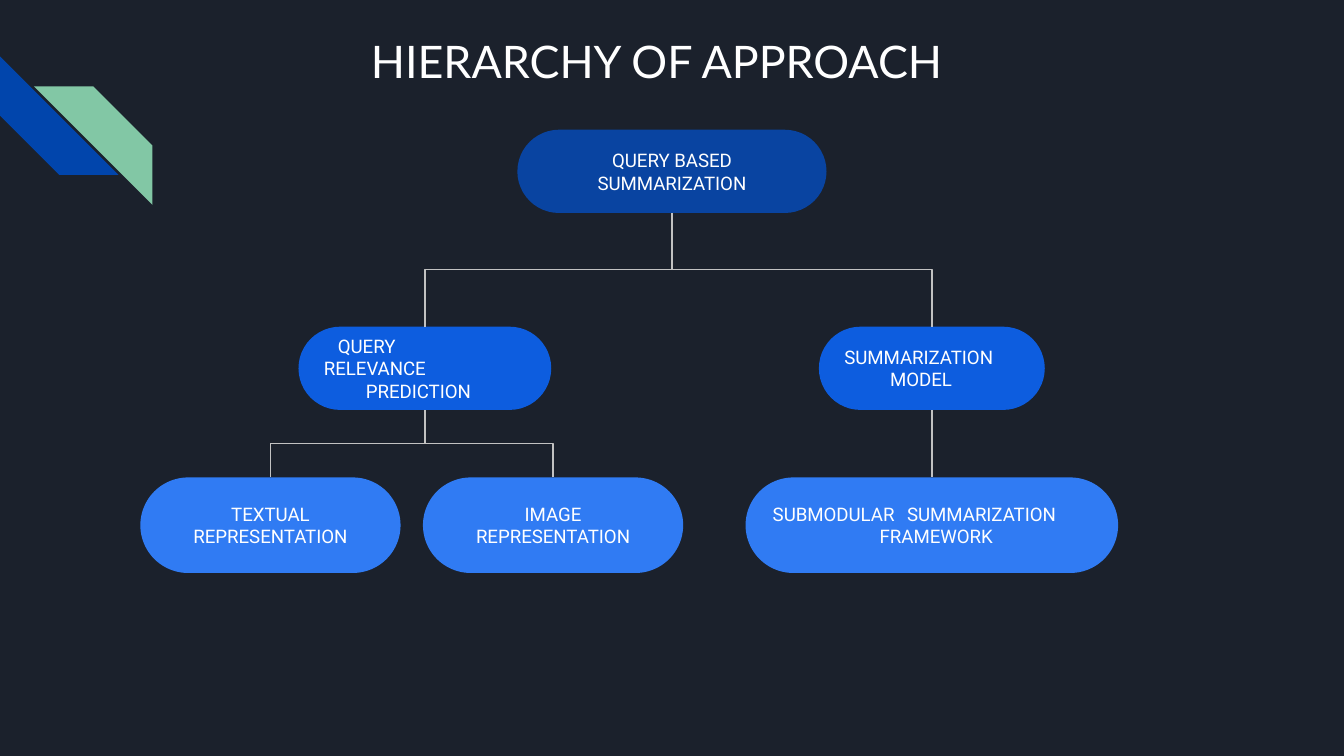
"""Build the hierarchy-of-approach slide as an editable tree diagram."""
import pptx
import pptx.dml.color
import pptx.enum.shapes
import pptx.enum.text
import pptx.oxml
import pptx.oxml.ns
import pptx.util

Pt = pptx.util.Pt
SHAPES = pptx.enum.shapes.MSO_SHAPE
ALIGN = pptx.enum.text.PP_ALIGN
ANCHOR = pptx.enum.text.MSO_ANCHOR

COLORS = {
    "background": "1B212C", "text": "FFFFFF", "line": "C2C2C2",
    "stripe blue": "0145AC", "stripe green": "82C7A5",
    "level 0": "0944A1", "level 1": "0D5DDF", "level 2": "307BF3",
}
TITLE = [("HIERARCHY OF APPROACH", 31.5, None)]
LEVELS = [(69.5, 44.6), (175, 44.6), (255.8, 51.2)]
NODES = {
    "root": dict(level=0, center=360, width=165.6, parent=None,
                 lines=["QUERY BASED SUMMARIZATION"]),
    "relevance": dict(level=1, center=227.6, width=135.4, parent="root",
                      lines=[("QUERY\tRELEVANCE", 7.5, 48.3), ("PREDICTION", 22.5, None)]),
    "model": dict(level=1, center=499.2, width=121, parent="root",
                  lines=[("SUMMARIZATION", 0, None), ("MODEL", 24.6, None)]),
    "textual": dict(level=2, center=144.9, width=139.4, parent="relevance",
                    lines=["TEXTUAL REPRESENTATION"]),
    "image": dict(level=2, center=296.3, width=139.4, parent="relevance",
                  lines=["IMAGE REPRESENTATION"]),
    "framework": dict(level=2, center=499.2, width=199.6, parent="model",
                      lines=[("SUBMODULAR\tSUMMARIZATION", 0, 70.7),
                             ("FRAMEWORK", 57.3, None)]),
}
STRIPES = [("stripe blue", 0, 30.2, 270, False), ("stripe green", 18.2, 46.3, 0, True)]
STRIPE_SIZE = 63.5
BOTTOM_SITE, TOP_SITE = 2, 0


def color(name):
    """Return the named colour."""
    return pptx.dml.color.RGBColor.from_string(COLORS[name])


def write(frame, lines, font="Roboto", size=10, anchor=ANCHOR.MIDDLE):
    """Write centred strings or (text, indent, tab) lines into a text frame."""
    frame.word_wrap = True
    frame.auto_size = pptx.enum.text.MSO_AUTO_SIZE.NONE
    frame.vertical_anchor = anchor
    frame.margin_left = frame.margin_right = Pt(7.2)
    frame.margin_top = frame.margin_bottom = Pt(7.2)
    for index, line in enumerate(lines):
        centered = isinstance(line, str)
        text, indent, tab = (line, 0, None) if centered else line
        para = frame.add_paragraph() if index else frame.paragraphs[0]
        para.text = text
        para.alignment = ALIGN.CENTER if centered else ALIGN.LEFT
        para.space_before = Pt(0)
        properties = para._p.get_or_add_pPr()
        properties.set("marL", "0")
        properties.set("indent", str(int(Pt(indent))))
        if tab:
            properties.append(pptx.oxml.parse_xml(
                f'<a:tabLst {pptx.oxml.ns.nsdecls("a")}>'
                f'<a:tab pos="{int(Pt(tab))}" algn="l"/></a:tabLst>'))
        for span in para.runs:
            span.font.name = font
            span.font.size = Pt(size)
            span.font.color.rgb = color("text")


def add_solid(page, kind, fill, left, top, width, height):
    """Add a flat filled preset shape."""
    shape = page.shapes.add_shape(kind, Pt(left), Pt(top), Pt(width), Pt(height))
    shape.shadow.inherit = False
    shape.fill.solid()
    shape.fill.fore_color.rgb = color(fill)
    shape.line.fill.background()
    return shape


def add_node(page, node):
    """Add one rounded box of the tree."""
    top, height = LEVELS[node["level"]]
    box = add_solid(page, SHAPES.ROUNDED_RECTANGLE, f"level {node['level']}",
                    node["center"] - node["width"] / 2, top, node["width"], height)
    box.adjustments[0] = 0.5
    write(box.text_frame, node["lines"])
    return box


def add_branch(page, parent, child, boxes):
    """Join a parent to its child by an elbow that leaves vertically."""
    start, end = NODES[parent], NODES[child]
    top, height = LEVELS[start["level"]]
    start_y, end_y = top + height, LEVELS[end["level"]][0]
    drop, reach = end_y - start_y, end["center"] - start["center"]
    branch = page.shapes.add_connector(
        pptx.enum.shapes.MSO_CONNECTOR.ELBOW,
        Pt(start["center"]), Pt(start_y), Pt(end["center"]), Pt(end_y))
    branch.begin_connect(boxes[parent], BOTTOM_SITE)
    branch.end_connect(boxes[child], TOP_SITE)
    branch.left = Pt((start["center"] + end["center"] - drop) / 2)
    branch.top = Pt((start_y + end_y - abs(reach)) / 2)
    branch.width, branch.height = Pt(drop), Pt(abs(reach))
    frame = branch._element.spPr.xfrm
    frame.set("rot", str((270 if reach > 0 else 90) * 60000))
    frame.set("flipH", "1" if reach > 0 else "0")
    branch.line.color.rgb = color("line")
    branch.line.width = Pt(0.75)
    branch._element.spPr.append(
        pptx.oxml.parse_xml(f'<a:effectLst {pptx.oxml.ns.nsdecls("a")}/>'))


def main():
    """Build and save the deck."""
    deck = pptx.Presentation()
    deck.slide_width, deck.slide_height = Pt(720), Pt(405)
    page = deck.slides.add_slide(deck.slide_layouts[5])
    page.background.fill.solid()
    page.background.fill.fore_color.rgb = color("background")

    for fill, left, top, angle, flipped in STRIPES:
        stripe = add_solid(page, SHAPES.DIAGONAL_STRIPE, fill,
                           left, top, STRIPE_SIZE, STRIPE_SIZE)
        stripe.rotation = angle
        if flipped:
            stripe._element.spPr.xfrm.set("flipH", "1")

    title = page.shapes.title
    title.left, title.top, title.width, title.height = map(Pt, (160, 11, 363.6, 44.6))
    write(title.text_frame, TITLE, font="Lato", size=24, anchor=ANCHOR.TOP)

    boxes = {name: add_node(page, node) for name, node in NODES.items()}
    for name, node in NODES.items():
        if node["parent"]:
            add_branch(page, node["parent"], name, boxes)
    deck.save("out.pptx")


if __name__ == "__main__":
    main()
